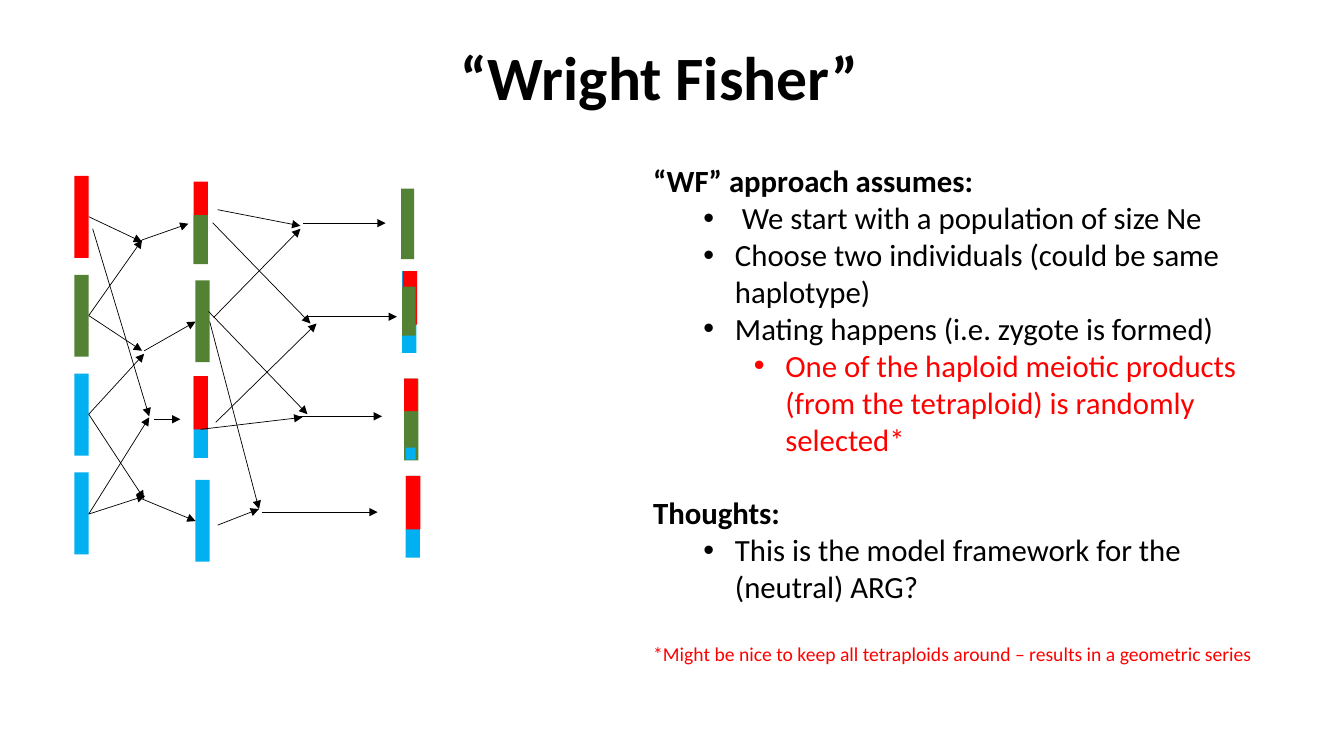
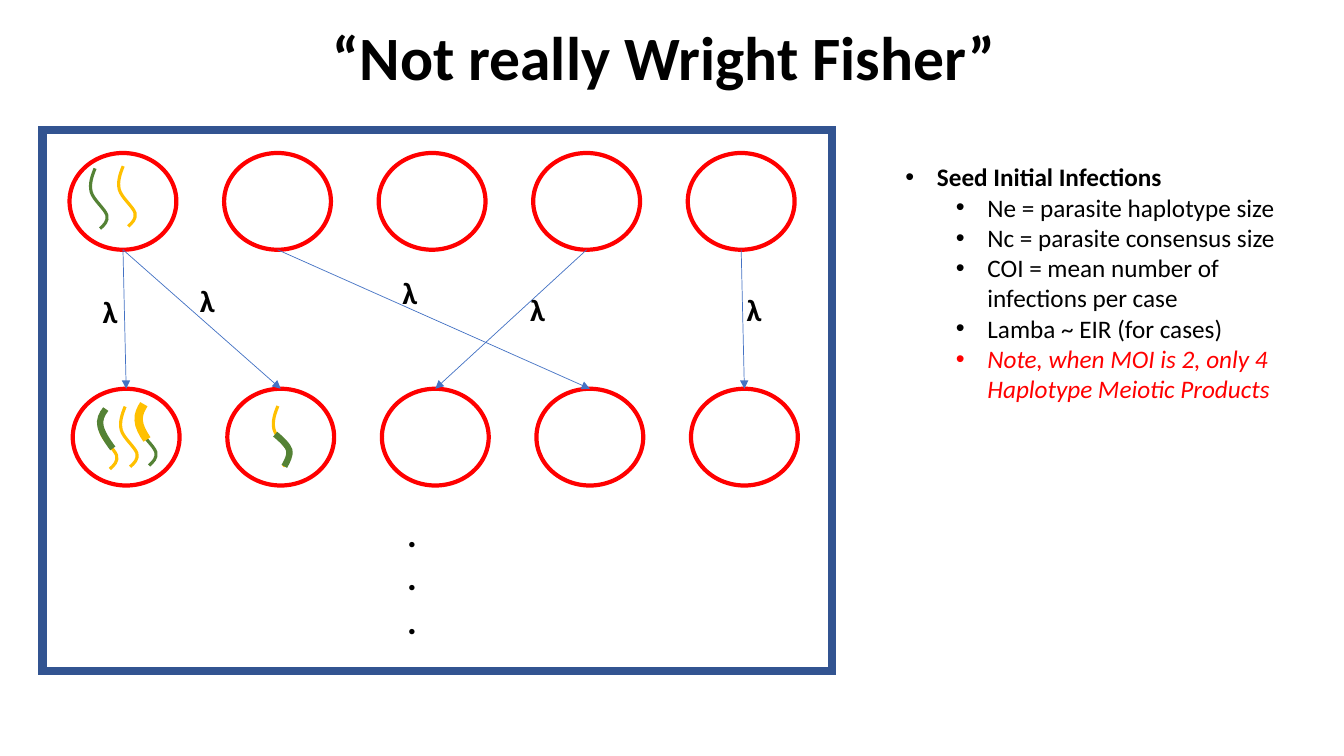
import lxml.etree
import pptx
import pptx.dml.color
import pptx.enum.shapes
import pptx.enum.text
import pptx.oxml.ns
import pptx.util

Pt = pptx.util.Pt
RGBColor = pptx.dml.color.RGBColor
SHAPE = pptx.enum.shapes.MSO_SHAPE
qn = pptx.oxml.ns.qn

BLACK = RGBColor(0x00, 0x00, 0x00)
WHITE = RGBColor(0xFF, 0xFF, 0xFF)
RED = RGBColor(0xFF, 0x00, 0x00)
GREEN = RGBColor(0x54, 0x82, 0x35)
SKY = RGBColor(0x00, 0xB0, 0xF0)
GOLD = RGBColor(0xFF, 0xC0, 0x00)
NAVY = RGBColor(0x32, 0x54, 0x91)
BLUE = RGBColor(0x44, 0x72, 0xC4)

FONT = "Calibri"
TITLE = {"size": Pt(44), "bold": True}
HEAD = {"size": Pt(22), "bold": True}
BODY = {"size": Pt(22), "bold": False}
FOOTNOTE = {"size": Pt(14), "bold": False}
LIST_HEAD = {"size": Pt(18), "bold": True}
LIST_BODY = {"size": Pt(18), "bold": False}
LIST_NOTE = {"size": Pt(18), "bold": False, "italic": True}
DOT = {"size": Pt(26), "bold": True}
HANGING = 22.5
LEVEL_STEP = 36
BLANK_LINE = 26.1

BAR_W, BAR_H = 10.2, 58.5
BARS = [
    (138.3, 129.8, [(RED, 0, BAR_H), (GREEN, 23.8, 35)]),
    (139.6, 200.2, [(GREEN, 0, BAR_H)]),
    (138.3, 268.6, [(SKY, 0, BAR_H), (RED, 0, 38.2)]),
    (139.6, 342.7, [(SKY, 0, BAR_H)]),
    (286.5, 134.8, [(GREEN, 0, 50.3, 0, 9.4)]),
    (287.3, 193.7, [(SKY, 0, BAR_H), (RED, 0, 38.2, 0.5), (GREEN, 11, 35, 0, 9.6)]),
    (288.7, 270.4, [(GREEN, 0, BAR_H), (RED, 0, 23.3, 0, 9.7), (SKY, 49.3, 8.6, 1, 7.2)]),
    (289.8, 339.9, [(SKY, 0, BAR_H), (RED, 0, 38.2, 0.3)]),
]
FOUNDERS = [RED, GREEN, SKY, SKY]
DESCENT = [
    (63.4, 225.4, 101.5, 171.4), (63.4, 154.8, 101.5, 172.8),
    (63.4, 225.4, 101.5, 250.6), (63.4, 295.9, 103, 252.7),
    (101.5, 171.4, 134.6, 159.8), (103, 250.6, 139.7, 229.7),
    (63.4, 367.2, 106.6, 298.1), (66.2, 163.4, 106.6, 297.4),
    (109.8, 299.5, 128.9, 299.5), (63.4, 295.9, 103, 356.4),
    (63.4, 367.2, 103.7, 354.2), (101.5, 356.4, 139.7, 372.2),
    (151.9, 159.1, 221.8, 231.1), (154.1, 301.7, 226.1, 231.1),
    (219.6, 226.3, 283.5, 226.3), (152.6, 226.8, 214.6, 163.4),
    (155.5, 149.8, 214.6, 161.3), (216.7, 159.4, 275.5, 159.4),
    (149.8, 229.7, 185, 363.6), (155.5, 375.1, 185, 363.6),
    (187.2, 365.8, 269.8, 365.8), (149, 222.5, 219.6, 295.9),
    (143.3, 306.7, 216, 298.1), (211.7, 297.4, 272.9, 297.4),
]

CELL_W, CELL_H, CELL_STEP = 76.3, 69.1, 110.4
PARENT_ROW = (49.7, 109.3)
CHILD_ROW = (52, 277.7)
INFECTIONS = [(0, 1), (0, 0), (1, 3), (3, 2), (4, 4)]
LAMBDAS = [(135.6, 198), (66.2, 205.9), (280.4, 192.2), (371.5, 203.8), (526.3, 203.8)]

WHOLE = [(-2.2, 5.4, -4.2, 11, -2.8, 16.7), (-1.4, 22.3, 7.2, 29.1, 8.4, 33.4),
         (9.4, 37.7, 6.5, 40.4, 3.6, 43)]
LOWER = [(4.3, 3.6, 9, 8, 10.1, 11.5), (10.8, 15.1, 8.6, 19.4, 6.5, 23)]
UPPER = [(-2.9, 3.6, -4.9, 7.9, -3.8, 12.2), (-2.9, 16.6, 0.7, 22.3, 5, 28.1)]
TOP_HALF = [(-2.2, 3.6, -4.1, 7.2, -3.7, 11.5), (-3.6, 15.8, -0.7, 20.9, 2.2, 25.2)]
STRANDS = [
    (67.9, 120.3, WHOLE, GREEN, 2.25), (88, 118.7, WHOLE, GOLD, 2.25),
    (198.5, 290, WHOLE, GOLD, 2.25), (196.6, 310.1, LOWER, GREEN, 4.5),
    (74.9, 292, WHOLE, GOLD, 2.25), (75.6, 292.2, UPPER, GREEN, 4.5),
    (89.4, 290.4, WHOLE, GOLD, 2.25), (102.9, 289.5, WHOLE, GREEN, 2.25),
    (102.8, 288.7, TOP_HALF, GOLD, 6),
]

ASSUMPTIONS = [
    ("“WF” approach assumes:", 0, HEAD, BLACK, 0),
    (" We start with a population of size Ne", 2, BODY, BLACK, 0),
    ("Choose two individuals (could be same haplotype)", 2, BODY, BLACK, 0),
    ("Mating happens (i.e. zygote is formed)", 2, BODY, BLACK, 0),
    ("One of the haploid meiotic products (from the tetraploid) is randomly selected*",
     3, BODY, RED, 0),
    ("Thoughts:", 0, HEAD, BLACK, BLANK_LINE),
    ("This is the model framework for the (neutral) ARG?", 2, BODY, BLACK, 0),
    ("*Might be nice to keep all tetraploids around – results in a geometric series",
     0, FOOTNOTE, RED, BLANK_LINE),
]
SEEDING = [
    ("Seed Initial Infections", 1, LIST_HEAD, BLACK, 0),
    ("Ne = parasite haplotype size", 2, LIST_BODY, BLACK, 0),
    ("Nc = parasite consensus size", 2, LIST_BODY, BLACK, 0),
    ("COI = mean number of infections per case", 2, LIST_BODY, BLACK, 0),
    ("Lamba ~ EIR (for cases)", 2, LIST_BODY, BLACK, 0),
    ("Note, when MOI is 2, only 4 Haplotype Meiotic Products", 2, LIST_NOTE, RED, 0),
]


def set_bullet(p, level):
    pPr = p._p.get_or_add_pPr()
    pPr.set("marL", str(Pt(HANGING + LEVEL_STEP * (level - 1))))
    pPr.set("indent", str(-Pt(HANGING)))
    lxml.etree.SubElement(pPr, qn("a:buFont")).set("typeface", "Arial")
    lxml.etree.SubElement(pPr, qn("a:buChar")).set("char", "•")


def add_text(s, x, y, w, h, lines, wrap=True, align=None):
    tf = s.shapes.add_textbox(Pt(x), Pt(y), Pt(w), Pt(h)).text_frame
    tf.word_wrap = wrap
    if wrap:
        tf.auto_size = pptx.enum.text.MSO_AUTO_SIZE.SHAPE_TO_FIT_TEXT
    for i, (text, level, style, color, gap) in enumerate(lines):
        p = tf.add_paragraph() if i else tf.paragraphs[0]
        p.alignment = align
        if gap:
            p.space_before = Pt(gap)
        if level:
            set_bullet(p, level)
        r = p.add_run()
        r.text = text
        for name, value in {"name": FONT, **style}.items():
            setattr(r.font, name, value)
        r.font.color.rgb = color


def add_title(s, text, x, y, w):
    add_text(s, x, y, w, 60.5, [(text, 0, TITLE, BLACK, 0)],
             align=pptx.enum.text.PP_ALIGN.CENTER)


def paint(sp, fill=None, line=None, width=0):
    sp.shadow.inherit = False
    if fill is None:
        sp.fill.background()
    else:
        sp.fill.solid()
        sp.fill.fore_color.rgb = fill
    if line is None:
        sp.line.fill.background()
    else:
        sp.line.color.rgb = line
        sp.line.width = Pt(width)
        ln = sp._element.spPr.find(qn("a:ln"))
        lxml.etree.SubElement(ln, qn("a:miter")).set("lim", "800000")


def add_box(s, kind, x, y, w, h, **look):
    paint(s.shapes.add_shape(kind, Pt(x), Pt(y), Pt(w), Pt(h)), **look)


def add_arrow(s, x1, y1, x2, y2, color):
    line = s.shapes.add_connector(pptx.enum.shapes.MSO_CONNECTOR.STRAIGHT,
                                  Pt(x1), Pt(y1), Pt(x2), Pt(y2))
    line.line.color.rgb = color
    line.line.width = Pt(0.5)
    spPr = line._element.spPr
    lxml.etree.SubElement(spPr.find(qn("a:ln")), qn("a:tailEnd")).set("type", "triangle")
    lxml.etree.SubElement(spPr, qn("a:effectLst"))


def add_layer(s, x, y, color, offset, height, inset=0, width=BAR_W):
    add_box(s, SHAPE.RECTANGLE, x + inset, y + offset, width, height, fill=color)


def add_haplotype(s, x, y, layers):
    for layer in layers:
        add_layer(s, x, y, *layer)


def add_strand(s, x, y, curves, color, width):
    outline = s.shapes.build_freeform(Pt(x), Pt(y))
    ends = [curve[4:] for curve in curves]
    outline.add_line_segments([(Pt(x + dx), Pt(y + dy)) for dx, dy in ends], close=False)
    sp = outline.convert_to_shape()
    left = min(0, *(dx for dx, dy in ends))
    segments = list(sp._element.iter(qn("a:lnTo")))
    for segment, curve in zip(segments, curves):
        bezier = lxml.etree.Element(qn("a:cubicBezTo"))
        for dx, dy in zip(curve[::2], curve[1::2]):
            pt = lxml.etree.SubElement(bezier, qn("a:pt"))
            pt.set("x", str(Pt(dx - left)))
            pt.set("y", str(Pt(dy)))
        segment.getparent().replace(segment, bezier)
    paint(sp, line=color, width=width)


def wright_fisher(s):
    add_title(s, "“Wright Fisher” ", 236.9, 24.2, 478.8)
    for i, color in enumerate(FOUNDERS):
        add_haplotype(s, 53.2, 125.7 + 70.6 * i, [(color, 0, BAR_H)])
    for bar in BARS:
        add_haplotype(s, *bar)
    for ends in DESCENT:
        add_arrow(s, *ends, BLACK)
    add_text(s, 459.4, 112.2, 459.4, 380, ASSUMPTIONS)


def not_wright_fisher(s):
    add_title(s, "“Not really Wright Fisher” ", 160.3, 10.1, 638.6)
    add_box(s, SHAPE.RECTANGLE, 30.4, 92.9, 563.8, 386.4, line=NAVY, width=6)
    for left, top in (PARENT_ROW, CHILD_ROW):
        for i in range(5):
            add_box(s, SHAPE.OVAL, left + CELL_STEP * i, top, CELL_W, CELL_H,
                    fill=WHITE, line=RED, width=3)
    for parent, child in INFECTIONS:
        add_arrow(s, PARENT_ROW[0] + CELL_STEP * parent + CELL_W / 2, PARENT_ROW[1] + CELL_H,
                  CHILD_ROW[0] + CELL_STEP * child + CELL_W / 2, CHILD_ROW[1], BLUE)
    for x, y in LAMBDAS:
        add_text(s, x, y, 22.3, 33.8, [("λ", 0, HEAD, BLACK, 0)], wrap=False)
    for strand in STRANDS:
        add_strand(s, *strand)
    add_text(s, 283.7, 361.4, 97.2, 133.2, [(".", 0, DOT, BLACK, 0)] * 3)
    add_text(s, 639.7, 112, 279.4, 181.4, SEEDING)


def main():
    prs = pptx.Presentation()
    prs.slide_width, prs.slide_height = Pt(960), Pt(540)
    for build in (wright_fisher, not_wright_fisher):
        build(prs.slides.add_slide(prs.slide_layouts[6]))
    prs.save("out.pptx")


if __name__ == "__main__":
    main()
